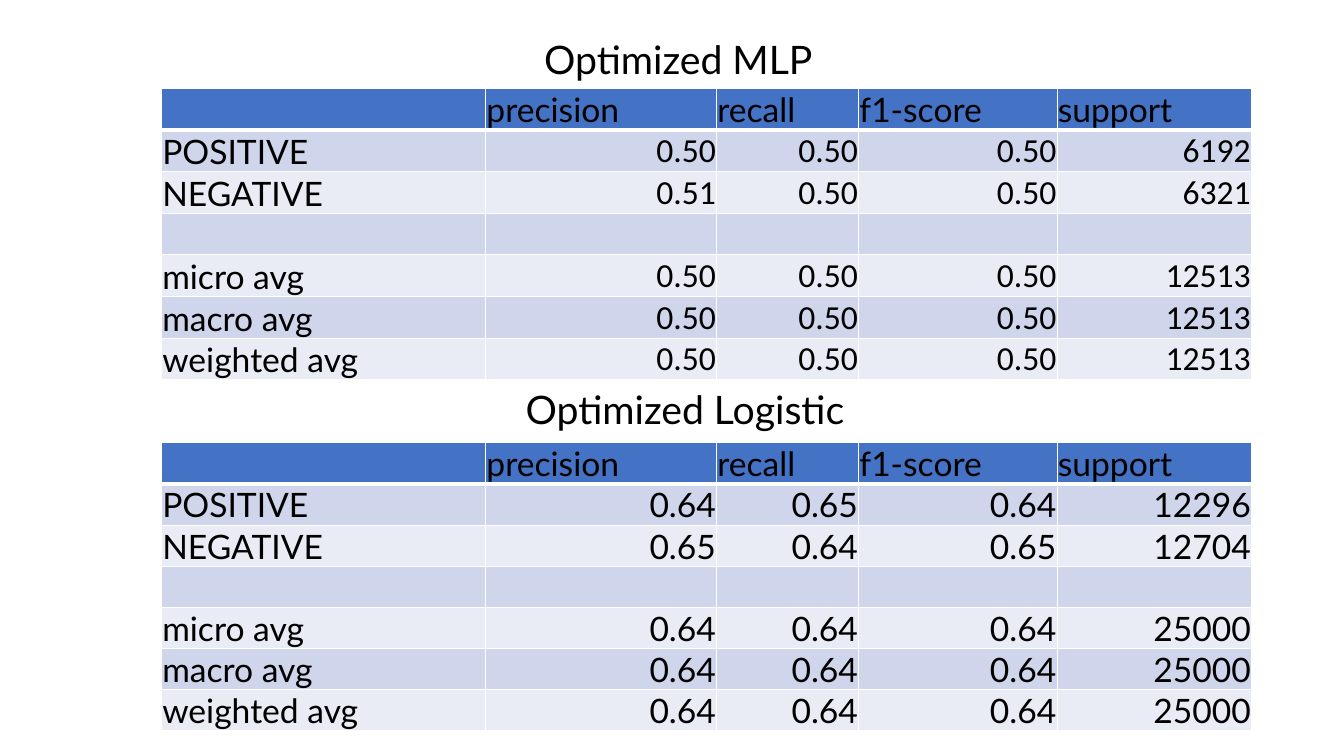
"""Build a slide comparing the classification reports of two optimized models."""
from lxml import etree
from pptx import Presentation
from pptx.dml.color import RGBColor
from pptx.enum.text import MSO_ANCHOR, PP_ALIGN
from pptx.oxml.ns import qn
from pptx.util import Cm, Pt

LEFT, RIGHT = PP_ALIGN.LEFT, PP_ALIGN.RIGHT
MIDDLE, BOTTOM = MSO_ANCHOR.MIDDLE, MSO_ANCHOR.BOTTOM

HEADER = ("", "precision", "recall", "f1-score", "support")
BLANK = ("",) * len(HEADER)
MLP_ROWS = [
    HEADER,
    ("POSITIVE", "0.50", "0.50", "0.50", "6192"),
    ("NEGATIVE", "0.51", "0.50", "0.50", "6321"),
    BLANK,
    ("micro avg", "0.50", "0.50", "0.50", "12513"),
    ("macro avg", "0.50", "0.50", "0.50", "12513"),
    ("weighted avg", "0.50", "0.50", "0.50", "12513"),
]
LOGISTIC_ROWS = [
    HEADER,
    ("POSITIVE", "0.64", "0.65", "0.64", "12296"),
    ("NEGATIVE", "0.65", "0.64", "0.65", "12704"),
    BLANK,
    ("micro avg", "0.64", "0.64", "0.64", "25000"),
    ("macro avg", "0.64", "0.64", "0.64", "25000"),
    ("weighted avg", "0.64", "0.64", "0.64", "25000"),
]
COLUMN_WIDTHS = (8.17, 5.82, 3.58, 5.0, 4.9)
TABLE_LEFT, TABLE_HEIGHT = 4.07, 7.21
HEADER_FILL, BAND_FILLS = "4472C4", ("E9EBF5", "CFD5EA")
BLACK, WHITE = "000000", "FFFFFF"


def color(value):
    return RGBColor.from_string(value)


def write_text(text, frame, font="Lato", size=24, align=LEFT, line_spacing=None):
    paragraph = frame.paragraphs[0]
    paragraph.alignment = align
    paragraph.line_spacing = line_spacing
    run = paragraph.add_run()
    run.text = text
    run.font.name = font
    run.font.size = Pt(size)
    run.font.color.rgb = color(BLACK)


def add_borders(cell, top, bottom):
    properties = cell._tc.get_or_add_tcPr()
    for side, width in (("L", 1), ("R", 1), ("T", top), ("B", bottom)):
        line = etree.SubElement(properties, qn(f"a:ln{side}"), w=str(Pt(width)))
        fill = etree.SubElement(line, qn("a:solidFill"))
        etree.SubElement(fill, qn("a:srgbClr"), val=WHITE)


def add_report(slide, rows, top, number_font):
    table = slide.shapes.add_table(
        len(rows), len(HEADER), Cm(TABLE_LEFT), Cm(top),
        Cm(sum(COLUMN_WIDTHS)), Cm(TABLE_HEIGHT)).table
    for column, width in zip(table.columns, COLUMN_WIDTHS):
        column.width = Cm(width)
    for row_index, row in enumerate(rows):
        for column_index, text in enumerate(row):
            cell = table.cell(row_index, column_index)
            is_number = row_index > 0 and column_index > 0
            add_borders(cell, top=3 if row_index == 1 else 1,
                        bottom=3 if row_index == 0 else 1)
            cell.fill.solid()
            cell.fill.fore_color.rgb = color(
                BAND_FILLS[row_index % 2] if row_index else HEADER_FILL)
            cell.vertical_anchor = BOTTOM
            cell.margin_left = cell.margin_right = cell.margin_top = Cm(0.02)
            cell.margin_bottom = 0
            if text:
                write_text(text, cell.text_frame,
                           font=number_font if is_number else "Lato",
                           align=RIGHT if is_number else LEFT)


def place_heading(text, shape, left, top, width):
    shape.left, shape.top = Cm(left), Cm(top)
    shape.width, shape.height = Cm(width), Cm(1.6)
    shape.text_frame.word_wrap = True
    shape.text_frame.vertical_anchor = MIDDLE
    write_text(text, shape.text_frame, size=28, line_spacing=0.9)


def main():
    presentation = Presentation()
    presentation.slide_width, presentation.slide_height = Cm(33.87), Cm(19.05)
    slide = presentation.slides.add_slide(presentation.slide_layouts[5])
    add_report(slide, LOGISTIC_ROWS, top=11.16, number_font="Lato")
    add_report(slide, MLP_ROWS, top=2.24, number_font="Calibri")
    logistic_heading = slide.shapes.add_textbox(0, 0, 0, 0)
    place_heading("Optimized Logistic", logistic_heading, left=13, top=9.58, width=9.58)
    place_heading("Optimized MLP", slide.shapes.title, left=13.46, top=0.76, width=8.71)
    presentation.save("out.pptx")


if __name__ == "__main__":
    main()
